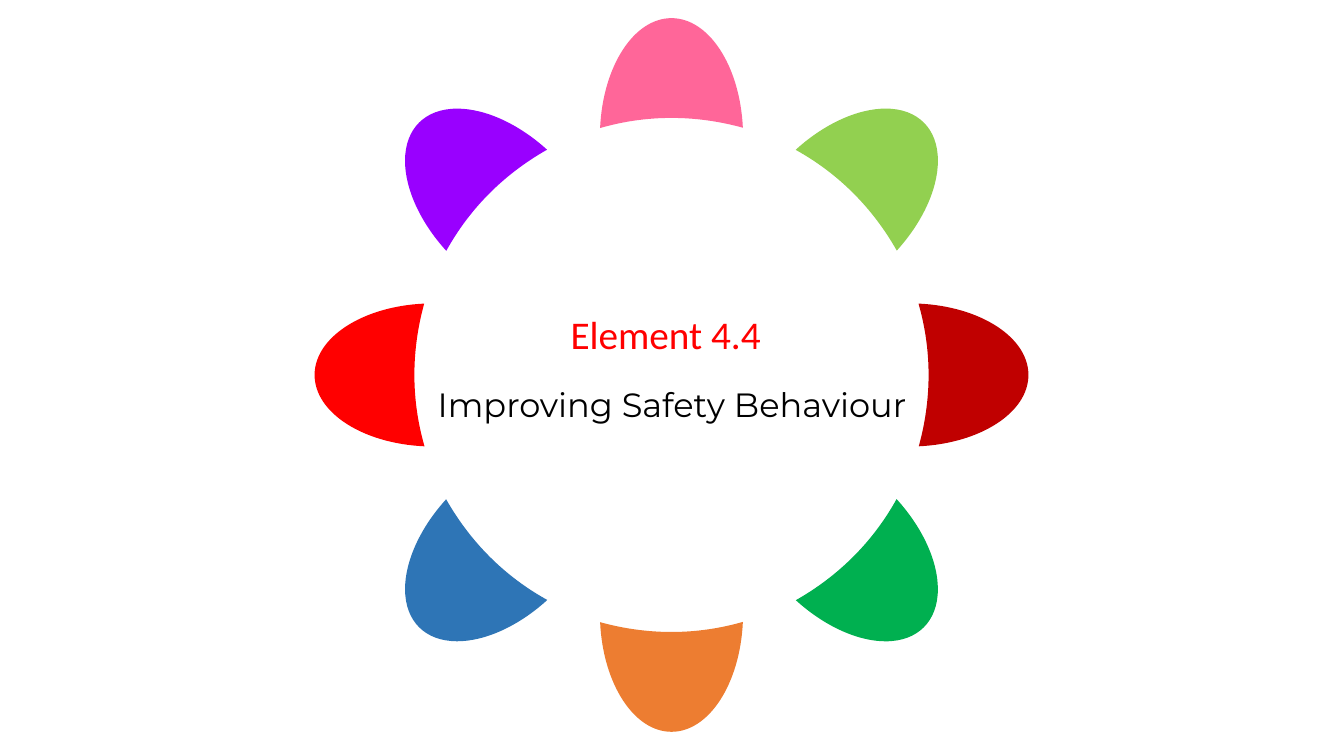
import math

import lxml.etree
import pptx
import pptx.dml.color
import pptx.enum.text
import pptx.oxml.ns
import pptx.util

COLOURS = {
    "pink": "FF6699", "lime": "92D050", "crimson": "C00000", "green": "00B050",
    "orange": "ED7D31", "blue": "2E75B6", "red": "FF0000", "violet": "9900FF",
    "black": "000000",
}
PETALS = ["pink", "lime", "crimson", "green", "orange", "blue", "red", "violet"]
COLUMNS = ROWS = 100

# Flower geometry in inches, measured outward from the flower's centre
CENTRE_X, CENTRE_Y = 6.66, 3.72
INNER_RADIUS = 2.55
OVAL_DISTANCE, OVAL_LENGTH, OVAL_WIDTH = 2.36, 1.18, 0.71
OVAL_SWEEP = math.radians(85.5)


def arc(middle, width, length, start, end):
    """Start point, two control points and end point of an upright oval's arc."""
    reach = 4 / 3 * math.tan((end - start) / 4)

    def point(angle, pull):
        sine, cosine = math.sin(angle), math.cos(angle)
        return (width * (sine + pull * cosine),
                middle + length * (cosine - pull * sine))

    return [point(start, 0), point(start, reach), point(end, -reach), point(end, 0)]


def petal_arcs(slanted):
    """Arcs as (across, outward) points, split where the petal reaches furthest."""
    tip = math.atan(OVAL_WIDTH / OVAL_LENGTH)
    splits = [-tip, tip] if slanted else [0]
    stops = [-OVAL_SWEEP, *splits, OVAL_SWEEP]
    outer = [arc(OVAL_DISTANCE, OVAL_WIDTH, OVAL_LENGTH, start, end)
             for start, end in zip(stops, stops[1:])]
    half_angle = math.asin(outer[-1][-1][0] / INNER_RADIUS)
    inner = [arc(0, INNER_RADIUS, INNER_RADIUS, start, end)
             for start, end in [(half_angle, 0), (0, -half_angle)]]
    return outer + inner


class FlowerPage:
    def __init__(self, deck):
        self.column = deck.slide_width / COLUMNS
        self.row = deck.slide_height / ROWS
        self.page = deck.slides.add_slide(deck.slide_layouts[0])

    def colour(self, name):
        return pptx.dml.color.RGBColor.from_string(COLOURS[name])

    def text(self, index, words, area, font, size, colour, align, wrap=True):
        """Fill a placeholder; area is left, top, width, height on the grid."""
        box = self.page.placeholders[index]
        left, top, width, height = area
        box.left, box.width = int(left * self.column), int(width * self.column)
        box.top, box.height = int(top * self.row), int(height * self.row)
        frame = box.text_frame
        frame.text = words
        frame.word_wrap = wrap
        frame.auto_size = pptx.enum.text.MSO_AUTO_SIZE.SHAPE_TO_FIT_TEXT
        frame.vertical_anchor = pptx.enum.text.MSO_ANCHOR.TOP
        para = frame.paragraphs[0]
        para.alignment = align
        para.space_before = pptx.util.Pt(0)
        para.font.name = font
        para.font.size = pptx.util.Pt(size)
        para.font.color.rgb = self.colour(colour)

    def petal(self, position, colour):
        """Draw one petal; positions run clockwise from the top."""
        angle = math.tau * position / len(PETALS)
        sine, cosine = math.sin(angle), math.cos(angle)

        def place(across, outward):
            return (pptx.util.Inches(CENTRE_X + across * cosine + outward * sine),
                    pptx.util.Inches(CENTRE_Y + across * sine - outward * cosine))

        arcs = [[place(*point) for point in points]
                for points in petal_arcs(slanted=position % 2 == 1)]
        builder = self.page.shapes.build_freeform(*arcs[0][0])
        builder.add_line_segments([points[-1] for points in arcs], close=True)
        shape = builder.convert_to_shape()
        self.bend(shape, arcs)
        shape.shadow.inherit = False
        shape.fill.solid()
        shape.fill.fore_color.rgb = self.colour(colour)
        shape.line.fill.background()

    def bend(self, shape, arcs):
        """Turn the straight segments of a freeform into curves."""
        name = pptx.oxml.ns.qn
        segments = list(shape.element.iter(name("a:lnTo")))
        for segment, points in zip(segments, arcs):
            curve = lxml.etree.Element(name("a:cubicBezTo"))
            for x, y in points[1:]:
                lxml.etree.SubElement(curve, name("a:pt"),
                                      x=str(x - shape.left), y=str(y - shape.top))
            segment.getparent().replace(segment, curve)


def main():
    deck = pptx.Presentation()
    deck.slide_width = pptx.util.Inches(13.33)
    deck.slide_height = pptx.util.Inches(7.5)
    flower = FlowerPage(deck)
    for position, colour in enumerate(PETALS):
        flower.petal(position, colour)
    align = pptx.enum.text.PP_ALIGN
    flower.text(1, "Improving Safety Behaviour", (30.25, 50.1, 39.5, 6.7),
                "Montserrat", 24, "black", align.CENTER, wrap=False)
    flower.text(0, "Element 4.4", (41.7, 40.4, 16.6, 7.6),
                "Calibri", 28, "red", align.LEFT)
    deck.save("out.pptx")


if __name__ == "__main__":
    main()
